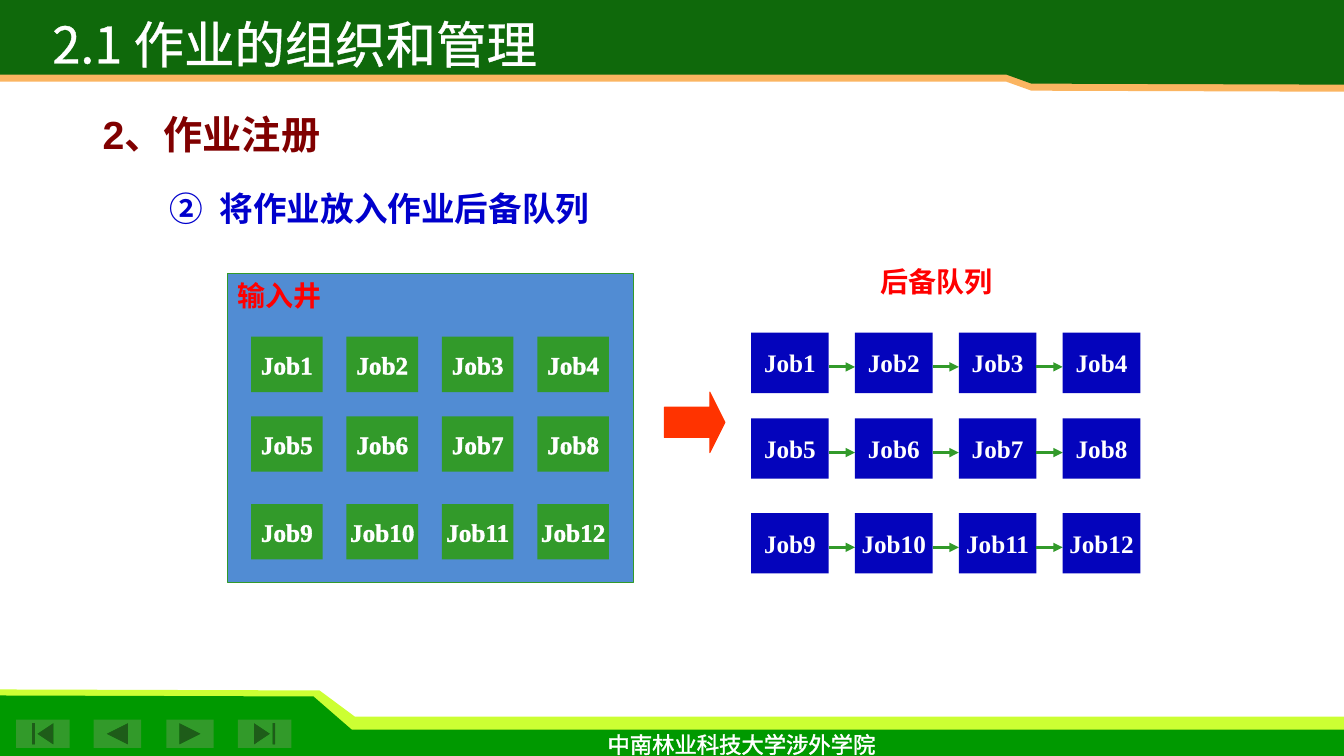
import pptx
import pptx.dml.color
import pptx.enum.shapes
import pptx.enum.text
import pptx.oxml.ns
import pptx.util
from lxml import etree

Inches = pptx.util.Inches
Pt = pptx.util.Pt
RGBColor = pptx.dml.color.RGBColor
SHAPE = pptx.enum.shapes.MSO_SHAPE
CONNECTOR = pptx.enum.shapes.MSO_CONNECTOR
ALIGN = pptx.enum.text.PP_ALIGN
ANCHOR = pptx.enum.text.MSO_ANCHOR
qn = pptx.oxml.ns.qn

WHITE = RGBColor(0xFF, 0xFF, 0xFF)
LIME = RGBColor(0xCC, 0xFF, 0x33)
FOOTER_GREEN = RGBColor(0x00, 0x99, 0x00)
HEADER_GREEN = RGBColor(0x0F, 0x69, 0x0B)
JOB_GREEN = RGBColor(0x32, 0x9A, 0x2A)
ORANGE = RGBColor(0xFB, 0xB5, 0x61)
PANEL_BLUE = RGBColor(0x51, 0x8C, 0xD3)
QUEUE_BLUE = RGBColor(0x04, 0x04, 0xBC)
TEXT_BLUE = RGBColor(0x00, 0x00, 0xCC)
RED = RGBColor(0xFF, 0x00, 0x00)
ARROW_RED = RGBColor(0xFF, 0x33, 0x00)
MAROON = RGBColor(0x80, 0x00, 0x00)

SERIF = "Times New Roman"
SANS = "Arial"
CJK = "Noto Sans CJK SC"

WIDTH, HEIGHT = 13.33, 7.5
COLUMNS = 4


class SlideBuilder:
    def __init__(self, slide):
        self.slide = slide
        self.shapes = slide.shapes

    def paint(self, shape, fill, line=None):
        shape.shadow.inherit = False
        shape.fill.solid()
        shape.fill.fore_color.rgb = fill
        if line is None:
            shape.line.fill.background()
        else:
            shape.line.color.rgb = line
            shape.line.width = Pt(0.75)
        return shape

    def band(self, points, fill):
        corners = [(Inches(x), Inches(y)) for x, y in points]
        builder = self.shapes.build_freeform(*corners[0], scale=1.0)
        builder.add_line_segments(corners[1:], close=True)
        return self.paint(builder.convert_to_shape(), fill)

    def shape(self, kind, left, top, width, height, fill, line=None):
        shape = self.shapes.add_shape(
            kind, Inches(left), Inches(top), Inches(width), Inches(height))
        return self.paint(shape, fill, line)

    def set_text(self, shape, text, size, color, font=SERIF, bold=True,
                 align=ALIGN.CENTER, wrap=False, outline=None, number=None):
        """Fill a shape with one paragraph; number starts a circled list."""
        frame = shape.text_frame
        frame.word_wrap = wrap
        paragraph = frame.paragraphs[0]
        paragraph.alignment = align
        run = paragraph.add_run()
        run.text = text
        if number is not None:
            paragraph.level = 1
            properties = paragraph._p.get_or_add_pPr()
            properties.set("marL", str(Inches(1)))
            properties.set("indent", str(Inches(-0.5)))
            etree.SubElement(properties, qn("a:buAutoNum"),
                             type="circleNumDbPlain", startAt=str(number))
        paragraph.font.name = font
        paragraph.font.size = Pt(size)
        paragraph.font.bold = bold
        paragraph.font.color.rgb = color
        if outline is not None:
            line = etree.SubElement(run._r.get_or_add_rPr(), qn("a:ln"), w=str(Pt(outline)))
            solid = etree.SubElement(line, qn("a:solidFill"))
            etree.SubElement(solid, qn("a:srgbClr"), val=str(color))
        return frame

    def label(self, left, top, width, height, text, size, color, **style):
        box = self.shapes.add_textbox(
            Inches(left), Inches(top), Inches(width), Inches(height))
        return self.set_text(box, text, size, color, **style)

    def job(self, left, top, width, height, number, fill, outline=None):
        box = self.shape(SHAPE.RECTANGLE, left, top, width, height, fill)
        frame = self.set_text(box, f"Job{number}", 18, WHITE, outline=outline)
        frame.vertical_anchor = ANCHOR.MIDDLE

    def arrow(self, start, end, y):
        connector = self.shapes.add_connector(
            CONNECTOR.STRAIGHT, Inches(start), Inches(y), Inches(end), Inches(y))
        connector.line.color.rgb = JOB_GREEN
        connector.line.width = Pt(2.25)
        etree.SubElement(connector.get_or_add_ln(), qn("a:tailEnd"), type="triangle")
        etree.SubElement(connector._element.spPr, qn("a:effectLst"))


def draw_frame(builder):
    builder.band([(0, HEIGHT), (WIDTH, HEIGHT), (WIDTH, 7.11), (3.52, 7.11),
                  (3.17, 6.85), (0, 6.84)], LIME)
    builder.band([(0, HEIGHT), (WIDTH, HEIGHT), (WIDTH, 7.24), (3.49, 7.24),
                  (3.11, 6.91), (0, 6.9)], FOOTER_GREEN)
    for kind, left, width in (
            (SHAPE.ACTION_BUTTON_BACK_OR_PREVIOUS, 0.93, 0.47),
            (SHAPE.ACTION_BUTTON_FORWARD_OR_NEXT, 1.65, 0.47),
            (SHAPE.ACTION_BUTTON_BEGINNING, 0.16, 0.53),
            (SHAPE.ACTION_BUTTON_END, 2.36, 0.53)):
        builder.shape(kind, left, 7.14, width, 0.28, JOB_GREEN)
    for edge, color in ((0.81, ORANGE), (0.74, HEADER_GREEN)):
        builder.band([(WIDTH, 0), (0, 0), (0, edge), (9.98, edge),
                      (10.23, edge + 0.09), (WIDTH, edge + 0.1)], color)
    builder.label(5.91, 7.2, 2.89, 0.37, "中南林业科技大学涉外学院", 16, WHITE,
                  bold=False, outline=0.75)


def draw_headings(builder):
    title = builder.label(0.52, 0.13, 5.04, 0.46, "2.1 作业的组织和管理", 36, WHITE,
                          font=CJK, bold=False, align=ALIGN.LEFT, outline=1.5)
    title.margin_left = title.margin_top = 0
    builder.label(0.92, 1.05, 4.96, 0.57, "2、作业注册", 28, MAROON,
                  font=SANS, align=ALIGN.LEFT, wrap=True)
    builder.label(1.08, 1.81, 9.37, 0.71, "将作业放入作业后备队列", 24, TEXT_BLUE,
                  font=SANS, align=ALIGN.LEFT, wrap=True, number=2)


def draw_input_well(builder):
    builder.shape(SHAPE.RECTANGLE, 2.26, 2.71, 4.02, 3.07, PANEL_BLUE, JOB_GREEN)
    builder.label(2.25, 2.71, 1.05, 0.44, "输入井", 20, RED, outline=0.75)
    pitch = (5.33 - 2.49) / (COLUMNS - 1)
    for row, top in enumerate((3.34, 4.13, 5)):
        for column in range(COLUMNS):
            builder.job(2.49 + column * pitch, top, 0.71, 0.55,
                        row * COLUMNS + column + 1, JOB_GREEN, outline=0.75)


def draw_backup_queue(builder):
    arrow = builder.shape(SHAPE.RIGHT_ARROW, 6.59, 3.89, 0.6, 0.6, ARROW_RED, ARROW_RED)
    arrow.adjustments[1] = 0.25
    builder.label(8.57, 2.57, 1.44, 0.47, "后备队列", 20, RED)
    pitch, width = 1.03, 0.77
    for row, top in enumerate((3.3, 4.15, 5.09)):
        for column in range(COLUMNS):
            left = 7.45 + column * pitch
            builder.job(left, top, width, 0.6, row * COLUMNS + column + 1, QUEUE_BLUE)
            if column < COLUMNS - 1:
                builder.arrow(left + width, left + pitch, top + 0.34)


def main():
    presentation = pptx.Presentation()
    presentation.slide_width = Inches(WIDTH)
    presentation.slide_height = Inches(HEIGHT)
    builder = SlideBuilder(presentation.slides.add_slide(presentation.slide_layouts[6]))
    draw_frame(builder)
    draw_headings(builder)
    draw_input_well(builder)
    draw_backup_queue(builder)
    presentation.save("out.pptx")


if __name__ == "__main__":
    main()
